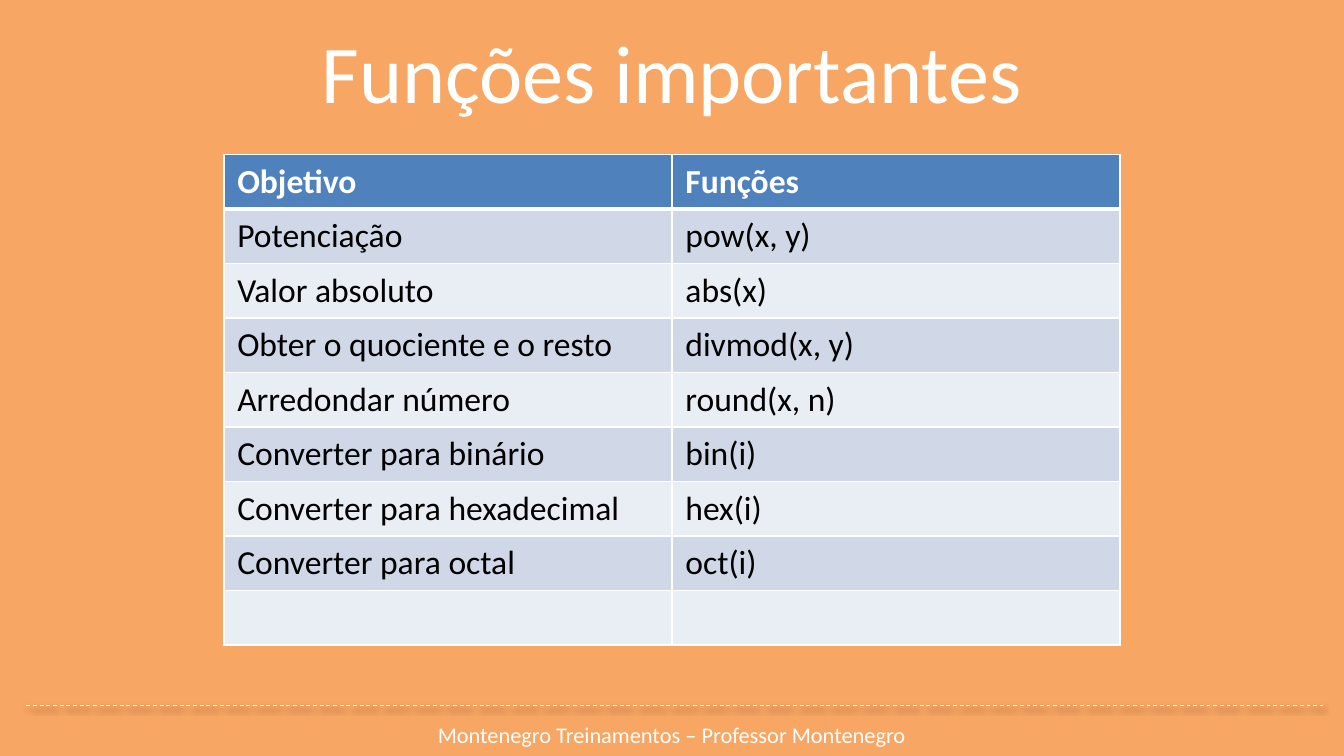
"""Build the slide listing important Python number functions."""
import lxml.etree
import pptx
import pptx.dml.color
import pptx.enum.dml
import pptx.enum.shapes
import pptx.enum.text
import pptx.oxml
import pptx.oxml.ns
import pptx.util
from pptx.util import Cm

WHITE = "FFFFFF"
DRAWING = pptx.oxml.ns.nsdecls("a")


def rgb(color):
    return pptx.dml.color.RGBColor.from_string(color)


def write(frame, text, size, color, bold=False, align=None):
    paragraph = frame.paragraphs[0]
    paragraph.text = text
    paragraph.alignment = align
    paragraph.font.name = "Calibri"
    paragraph.font.size = pptx.util.Pt(size)
    paragraph.font.bold = bold
    paragraph.font.color.rgb = rgb(color)


deck = pptx.Presentation()
deck.slide_width, deck.slide_height = Cm(25.4), Cm(14.29)
slide = deck.slides.add_slide(deck.slide_layouts[6])
slide.background.fill.solid()
slide.background.fill.fore_color.rgb = rgb("F8A663")

footer_rule = slide.shapes.add_connector(
    pptx.enum.shapes.MSO_CONNECTOR.STRAIGHT, Cm(0.5), Cm(13.34), Cm(25), Cm(13.34))
footer_rule.line.color.rgb = rgb(WHITE)
footer_rule.line.width = pptx.util.Pt(0.5)
footer_rule.line.dash_style = pptx.enum.dml.MSO_LINE.DASH
footer_rule._element.spPr.append(pptx.oxml.parse_xml(
    f'<a:effectLst {DRAWING}><a:outerShdw blurRad="40000" dist="20000" dir="5400000" rotWithShape="0">'
    '<a:srgbClr val="000000"><a:alpha val="38000"/></a:srgbClr></a:outerShdw></a:effectLst>'))

for text, size, left, top, width, height in (
    ("Montenegro Treinamentos – Professor Montenegro", 12, 6.4, 13.51, 12.6, 0.76),
    ("Funções importantes", 44, 1.27, 0.15, 22.86, 2.39),
):
    caption = slide.shapes.add_textbox(Cm(left), Cm(top), Cm(width), Cm(height)).text_frame
    caption.word_wrap = True
    caption.vertical_anchor = pptx.enum.text.MSO_ANCHOR.MIDDLE
    write(caption, text, size, WHITE, align=pptx.enum.text.PP_ALIGN.CENTER)

functions = [
    ("Objetivo", "Funções"),
    ("Potenciação", "pow(x, y)"),
    ("Valor absoluto", "abs(x)"),
    ("Obter o quociente e o resto", "divmod(x, y)"),
    ("Arredondar número", "round(x, n)"),
    ("Converter para binário", "bin(i)"),
    ("Converter para hexadecimal", "hex(i)"),
    ("Converter para octal", "oct(i)"),
    ("", ""),
]
grid = slide.shapes.add_table(
    len(functions), 2, Cm(4.23), Cm(2.92), Cm(16.94), Cm(1.03 * len(functions))).table

for row, entries in enumerate(functions):
    header = row == 0
    for column, entry in enumerate(entries):
        cell = grid.cell(row, column)
        write(cell.text_frame, entry, 18, WHITE if header else "000000", bold=header)
        heavy_side = {0: "B", 1: "T"}.get(row)
        for side in "LRTB":
            points = 3 if side == heavy_side else 1
            cell._tc.get_or_add_tcPr().append(pptx.oxml.parse_xml(
                f'<a:ln{side} {DRAWING} w="{pptx.util.Pt(points)}"><a:solidFill>'
                f'<a:srgbClr val="{WHITE}"/></a:solidFill></a:ln{side}>'))
        cell.fill.solid()
        cell.fill.fore_color.rgb = rgb("4F81BD" if header else ("E9EDF4", "D0D8E8")[row % 2])

deck.save("out.pptx")
